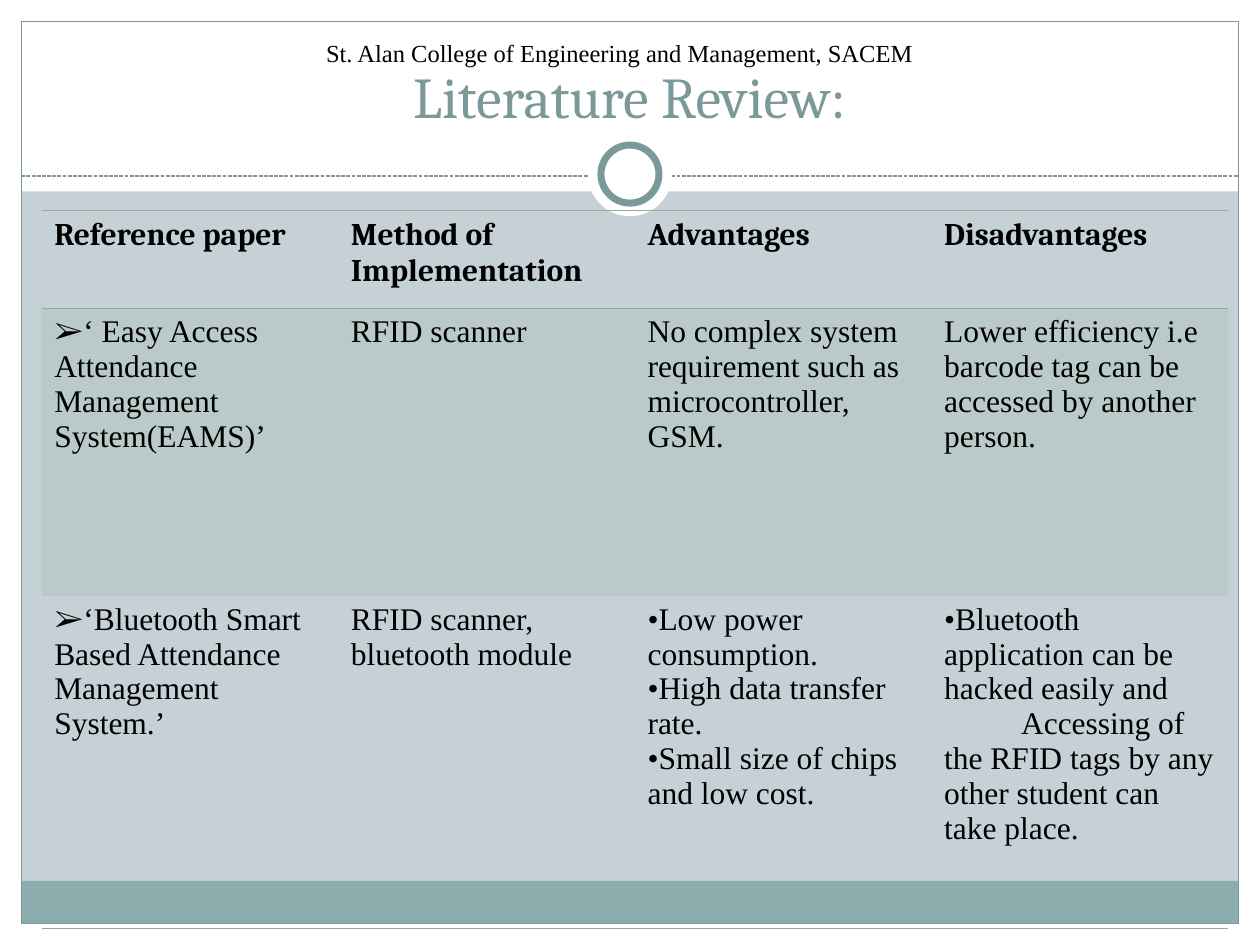
from lxml import etree
from pptx import Presentation
from pptx import util as u
from pptx.dml import color
from pptx.enum import dml, shapes, text
from pptx.oxml import ns

COLORS = {
    "background": "C5D1D7",
    "white": "FFFFFF",
    "black": "000000",
    "band": "8CADAE",
    "accent": "7C999A",
    "green": "8FB08C",
}
HEADING_FONT = "Cambria"
BODY_FONT = "Times New Roman"
NO_GRID_STYLE = "{2D5ABB26-0587-4C30-8999-92F81FD0307C}"
INDENT = u.Cm(1.55)

HEADERS = ["Reference paper", "Method of Implementation", "Advantages", "Disadvantages"]
PAPERS = [
    [
        [("➢", "‘ Easy Access Attendance Management System(EAMS)’")],
        [("", "RFID scanner")],
        [("", "No complex system requirement such as microcontroller, GSM.")],
        [("", "Lower efficiency i.e barcode tag can be accessed by another person.")],
    ],
    [
        [("➢", "‘Bluetooth Smart Based Attendance Management System.’")],
        [("", "RFID scanner, bluetooth module")],
        [
            ("•", "Low power consumption."),
            ("•", "High data transfer rate."),
            ("•", "Small size of chips and low cost."),
        ],
        [
            ("•", "Bluetooth application can be hacked easily and"),
            ("indent", "Accessing of the RFID tags by any other student can take place."),
        ],
    ],
]


def rgb(name):
    return color.RGBColor.from_string(COLORS[name])


def add_plain_shape(slide, kind, box, fill=None, line=None, width=0.75):
    shape = slide.shapes.add_shape(kind, *(u.Cm(length) for length in box))
    shape.shadow.inherit = False
    if fill:
        shape.fill.solid()
        shape.fill.fore_color.rgb = rgb(fill)
    else:
        shape.fill.background()
    if line:
        shape.line.color.rgb = rgb(line)
        shape.line.width = u.Pt(width)
    else:
        shape.line.fill.background()
    return shape


def add_frame(slide, box):
    left, top, width, height = box
    margin, header, footer = 0.43, 3.86, 0.86
    rectangle = shapes.MSO_SHAPE.RECTANGLE
    for edge in (
        (left, top + height - margin, width, margin),
        (left, top, width, header),
        (left, top, margin, height),
        (left + width - margin, top, margin, height),
    ):
        add_plain_shape(slide, rectangle, edge, "white")
    inner = width - 2 * margin
    bottom = top + height - margin
    add_plain_shape(slide, rectangle, (left + margin, bottom - footer, inner, footer), "band")
    add_plain_shape(
        slide, rectangle, (left + margin, top + margin, inner, height - 2 * margin), line="accent"
    )


def add_divider(slide, box):
    left, top, width, height = box
    middle = u.Cm(top + height / 2 + 0.04)
    divider = slide.shapes.add_connector(
        shapes.MSO_CONNECTOR.STRAIGHT, u.Cm(left), middle, u.Cm(left + width), middle
    )
    divider.line.color.rgb = rgb("accent")
    divider.line.width = u.Pt(0.75)
    divider.line.dash_style = dml.MSO_LINE.SQUARE_DOT
    etree.SubElement(divider._element.spPr, ns.qn("a:effectLst"))
    for size, line in ((height, None), (1.17, "accent")):
        ring = (left + (width - size) / 2, top + (height - size) / 2, size, size)
        add_plain_shape(slide, shapes.MSO_SHAPE.OVAL, ring, "white", line, 4)


def add_heading(slide, box, wording, font, size, ink, anchor, wrap=True):
    heading = slide.shapes.add_textbox(*(u.Cm(length) for length in box))
    frame = heading.text_frame
    frame.word_wrap = wrap
    frame.vertical_anchor = anchor
    paragraph = frame.paragraphs[0]
    paragraph.text = wording
    paragraph.alignment = text.PP_ALIGN.CENTER
    style_font(paragraph, font, size, ink)


def style_font(paragraph, font, size, ink, bold=False):
    paragraph.font.name = font
    paragraph.font.size = u.Pt(size)
    paragraph.font.bold = bold
    paragraph.font.color.rgb = rgb(ink)


def fill_cell(cell, entries, font, bold=False):
    frame = cell.text_frame
    for index, (marker, wording) in enumerate(entries):
        paragraph = frame.add_paragraph() if index else frame.paragraphs[0]
        paragraph.text = wording
        style_font(paragraph, font, 18, "black", bold)
        properties = paragraph._p.get_or_add_pPr()
        if marker == "indent":
            properties.set("indent", str(INDENT))
        elif marker:
            properties.insert(0, etree.Element(ns.qn("a:buChar"), char=marker))
            properties.insert(0, etree.Element(ns.qn("a:buFont"), typeface=font))


def set_border(cell, side):
    line = etree.Element(ns.qn(f"a:ln{side}"), w=str(u.Pt(1)))
    fill = etree.SubElement(line, ns.qn("a:solidFill"))
    etree.SubElement(fill, ns.qn("a:srgbClr"), val=COLORS["green"])
    cell._tc.get_or_add_tcPr().insert(0, line)


def set_fill(cell, tinted):
    if not tinted:
        cell.fill.background()
        return
    cell.fill.solid()
    cell.fill.fore_color.rgb = rgb("green")
    shade = cell._tc.tcPr.find(".//" + ns.qn("a:srgbClr"))
    etree.SubElement(shade, ns.qn("a:alpha"), val="20000")


def add_review_table(slide, box):
    rows = [[[("", header)] for header in HEADERS]] + PAPERS
    table = slide.shapes.add_table(
        len(rows), len(HEADERS), *(u.Cm(length) for length in box)
    ).table
    table._tbl.tblPr.find(ns.qn("a:tableStyleId")).text = NO_GRID_STYLE
    table.horz_banding = False
    for column in table.columns:
        column.width = u.Cm(box[2] / len(HEADERS))
    for row, height in zip(table.rows, (1.98, 5.79, 6.71)):
        row.height = u.Cm(height)
    borders = ("BT", "", "B")
    for row_index, row in enumerate(rows):
        is_header = row_index == 0
        for column_index, entries in enumerate(row):
            cell = table.cell(row_index, column_index)
            fill_cell(cell, entries, HEADING_FONT if is_header else BODY_FONT, is_header)
            set_fill(cell, row_index == 1)
            for side in borders[row_index]:
                set_border(cell, side)


def main():
    presentation = Presentation()
    presentation.slide_width = u.Cm(25.4)
    presentation.slide_height = u.Cm(19.05)
    slide = presentation.slides.add_slide(presentation.slide_layouts[6])
    slide.background.fill.solid()
    slide.background.fill.fore_color.rgb = rgb("background")

    add_frame(slide, (0, 0, 25.4, 19.05))
    add_divider(slide, (0.43, 2.66, 24.54, 1.7))
    add_heading(
        slide, (0.84, 0.64, 23.7, 2.1), "Literature Review:",
        HEADING_FONT, 33, "accent", text.MSO_ANCHOR.BOTTOM,
    )
    add_review_table(slide, (0.84, 4.24, 23.92, 14.48))
    add_heading(
        slide, (5.85, 0.64, 13.29, 0.86), "St. Alan College of Engineering and Management, SACEM",
        BODY_FONT, 14, "black", text.MSO_ANCHOR.TOP, wrap=False,
    )
    presentation.save("out.pptx")


if __name__ == "__main__":
    main()
